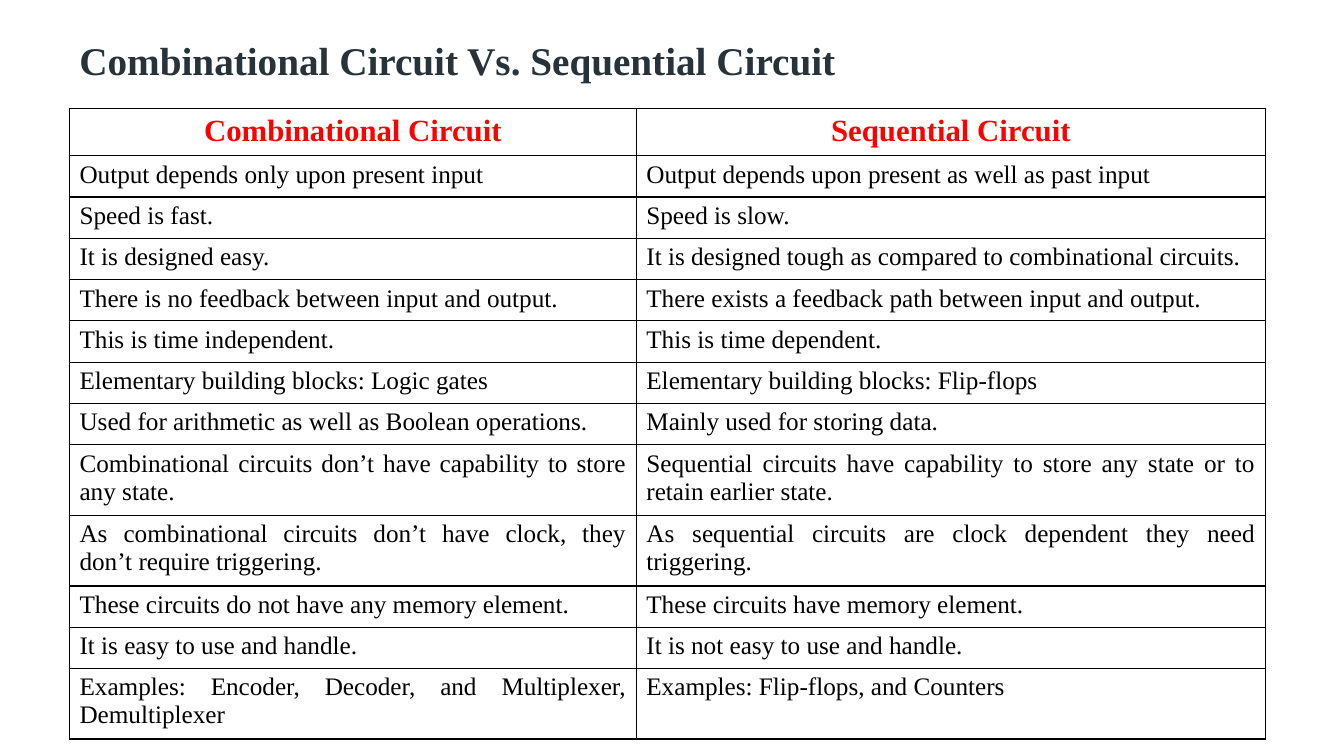
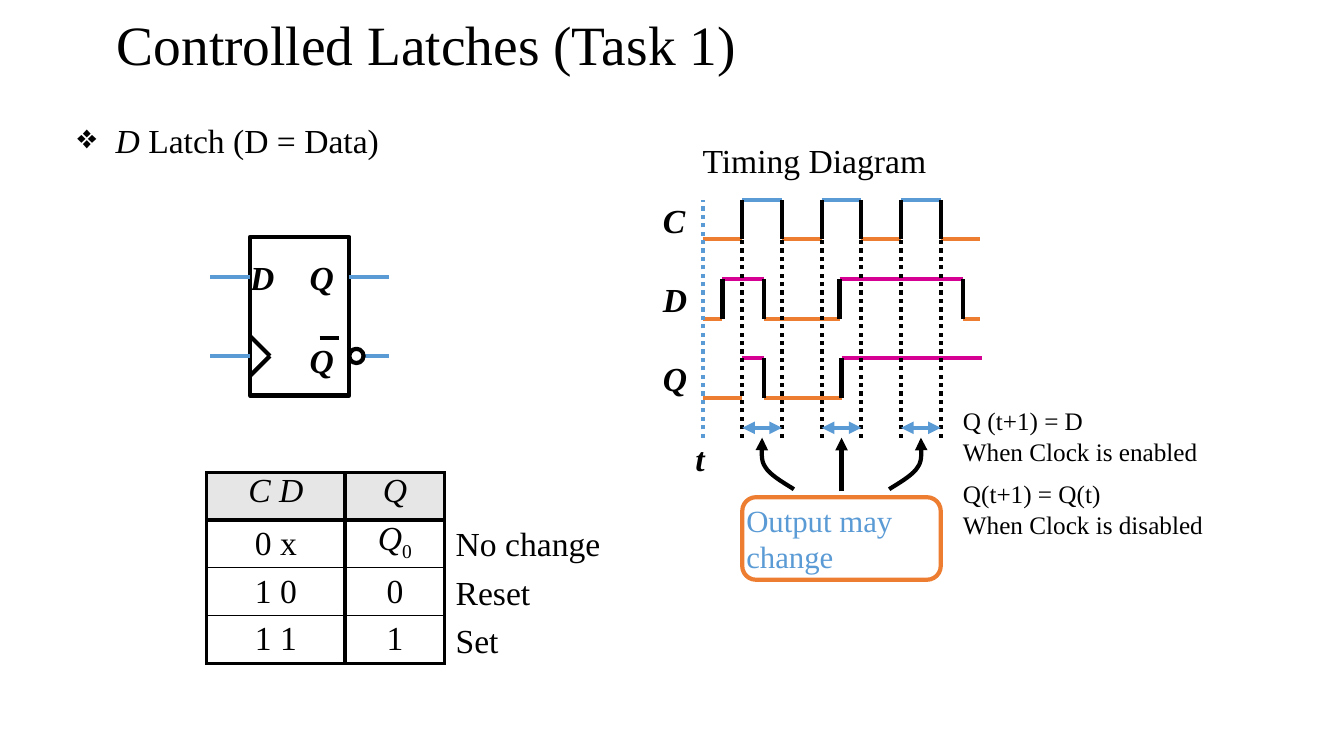
from dataclasses import dataclass

from lxml.etree import SubElement
from pptx import Presentation
from pptx.dml.color import RGBColor
from pptx.enum.dml import MSO_LINE
from pptx.enum.shapes import MSO_CONNECTOR, MSO_SHAPE
from pptx.enum.text import MSO_ANCHOR as Anchor, PP_ALIGN as Align
from pptx.oxml.ns import qn
from pptx.util import Cm, Inches, Pt

BLACK = RGBColor(0x00, 0x00, 0x00)
WHITE = RGBColor(0xFF, 0xFF, 0xFF)
SLATE = RGBColor(0x27, 0x32, 0x39)
RED = RGBColor(0xFF, 0x00, 0x00)
GRAY = RGBColor(0xE7, 0xE6, 0xE6)
BLUE = RGBColor(0x5B, 0x9B, 0xD5)
ORANGE = RGBColor(0xED, 0x7D, 0x31)
MAGENTA = RGBColor(0xD6, 0x00, 0x93)
FONT = "Times New Roman"
CELL = Cm(1)  # side of one grid square


@dataclass
class Grid:
    """Square grid whose origin is given in squares from the slide corner."""
    left: float = 0
    top: float = 0

    def point(self, col, row):
        return int((self.left + col) * CELL), int((self.top + row) * CELL)

    def box(self, col, row, width, height):
        return (*self.point(col, row), int(width * CELL), int(height * CELL))


PAGE = Grid()


# Shared text and line helpers
def style(paragraph, size, color=BLACK, bold=False, italic=None, align=None):
    font = paragraph.font
    font.name, font.size, font.bold, font.italic = FONT, Pt(size), bold, italic
    font.color.rgb = color
    paragraph.alignment = align


def set_margins(holder, margin):
    holder.margin_left = holder.margin_right = margin
    holder.margin_top = holder.margin_bottom = margin


def add_text(shapes, box, lines, size, margin=0, wrap=True, anchor=Anchor.TOP,
             spacing=None, **look):
    frame = shapes.add_textbox(*box).text_frame
    frame.word_wrap = wrap
    frame.vertical_anchor = anchor
    if margin is not None:
        set_margins(frame, margin)
    frame.text = "\n".join(lines)
    for paragraph in frame.paragraphs:
        paragraph.line_spacing = spacing
        style(paragraph, size, **look)
    return frame


def add_title(slide, box, title, size, **look):
    add_text(slide.shapes, box, [title], size, margin=None,
             anchor=Anchor.MIDDLE, **look)


def add_arrowheads(shape, ends):
    outline = shape.element.spPr.find(qn("a:ln"))
    for end in ends:
        SubElement(outline, qn(f"a:{end}End"), type="triangle")


def draw_line(shapes, start, end, color=BLACK, dotted=False, heads=()):
    line = shapes.add_connector(MSO_CONNECTOR.STRAIGHT, *start, *end)
    line.line.color.rgb = color
    line.line.width = Pt(3)
    if dotted:
        line.line.dash_style = MSO_LINE.ROUND_DOT
    add_arrowheads(line, heads)
    SubElement(line.element.spPr, qn("a:effectLst"))


def draw_shape(shapes, kind, box, line=BLACK, fill=None):
    shape = shapes.add_shape(kind, *box)
    shape.shadow.inherit = False
    shape.line.color.rgb = line
    shape.line.width = Pt(3)
    if fill is None:
        shape.fill.background()
    else:
        shape.fill.solid()
        shape.fill.fore_color.rgb = fill
    return shape


# Shared table helpers
def add_grid_table(slide, corner, widths, heights):
    box = PAGE.box(*corner, sum(widths), sum(heights))
    table = slide.shapes.add_table(len(heights), len(widths), *box).table
    table.first_row = table.horz_banding = False
    for column, width in zip(table.columns, widths):
        column.width = int(width * CELL)
    for row, height in zip(table.rows, heights):
        row.height = int(height * CELL)
    return table


def set_borders(cell, left=1, right=1, top=1, bottom=1):
    properties = cell._tc.get_or_add_tcPr()
    sides = zip("LRTB", (left, right, top, bottom))
    for index, (side, width) in enumerate(sides):
        border = SubElement(properties, qn(f"a:ln{side}"), w=str(Pt(width)))
        fill = SubElement(border, qn("a:solidFill"))
        SubElement(fill, qn("a:srgbClr"), val=str(BLACK))
        properties.insert(index, border)


# Slide 1: comparison
COMPARISON = [
    ("Combinational Circuit", "Sequential Circuit"),
    ("Output depends only upon present input",
     "Output depends upon present as well as past input"),
    ("Speed is fast.", "Speed is slow."),
    ("It is designed easy.",
     "It is designed tough as compared to combinational circuits."),
    ("There is no feedback between input and output.",
     "There exists a feedback path between input and output."),
    ("This is time independent.", "This is time dependent."),
    ("Elementary building blocks: Logic gates",
     "Elementary building blocks: Flip-flops"),
    ("Used for arithmetic as well as Boolean operations.",
     "Mainly used for storing data."),
    ("Combinational circuits don’t have capability to store any state.",
     "Sequential circuits have capability to store any state or to retain "
     "earlier state."),
    ("As combinational circuits don’t have clock, they don’t require "
     "triggering.",
     "As sequential circuits are clock dependent they need triggering."),
    ("These circuits do not have any memory element.",
     "These circuits have memory element."),
    ("It is easy to use and handle.", "It is not easy to use and handle."),
    ("Examples: Encoder, Decoder, and Multiplexer, Demultiplexer",
     "Examples: Flip-flops, and Counters"),
]
TWO_LINE_ROWS = (8, 9, 12)


def add_comparison(slide, corner):
    heights = [1.75 if row in TWO_LINE_ROWS else 1.04
               for row in range(len(COMPARISON))]
    heights[0] = 1.17
    table = add_grid_table(slide, corner, [14.28, 15.85], heights)
    for row, facts in enumerate(COMPARISON):
        for col, fact in enumerate(facts):
            cell = table.cell(row, col)
            cell.text = fact
            cell.fill.background()
            set_borders(cell)
            paragraph = cell.text_frame.paragraphs[0]
            if row == 0:
                style(paragraph, 22, RED, bold=True, align=Align.CENTER)
            else:
                style(paragraph, 18, align=Align.JUSTIFY)


def comparison_slide(slide):
    add_title(slide, PAGE.box(1.75, 0.79, 30.1, 1.45),
              "Combinational Circuit Vs. Sequential Circuit", 28,
              color=SLATE, bold=True)
    add_comparison(slide, (1.75, 2.74))


# Slide 2: D latch
TRUTH = [("C D", "Q"), ("0 x", "Q0"), ("1 0", "0"), ("1 1", "1")]


def add_subject(slide, box):
    frame = add_text(slide.shapes, box, [""], 24, margin=None, spacing=0.9)
    paragraph = frame.paragraphs[0]
    properties = paragraph._p.get_or_add_pPr()
    properties.set("marL", str(Inches(0.38)))
    properties.set("indent", str(-Inches(0.38)))
    bullet = SubElement(properties, qn("a:buChar"), char="❖")
    properties.find(qn("a:defRPr")).addprevious(bullet)
    for words, italic in (("D", True), (" Latch (D = Data)", False)):
        run = paragraph.add_run()
        run.text = words
        run.font.italic = italic


def add_truth_table(slide, corner):
    table = add_grid_table(slide, corner, [3.5, 2.5], [1.2] * len(TRUTH))
    last = len(TRUTH) - 1
    for row, states in enumerate(TRUTH):
        for col, state in enumerate(states):
            cell = table.cell(row, col)
            set_margins(cell, 0)
            stored = state == "Q0"
            paragraph = cell.text_frame.paragraphs[0]
            for part in state if stored else [state]:
                paragraph.add_run().text = part
            style(paragraph, 24, italic=row == 0, align=Align.CENTER)
            if stored:
                letter, index = paragraph.runs
                letter.font.italic = True
                index._r.get_or_add_rPr().set("baseline", "-25000")
            elif row:
                cell.vertical_anchor = Anchor.MIDDLE
            if row == 0:
                cell.fill.solid()
                cell.fill.fore_color.rgb = GRAY
            else:
                cell.fill.background()
            set_borders(cell, left=3 if col else 2.25, right=2.25 if col else 3,
                        top={0: 2.25, 1: 3}.get(row, 1),
                        bottom={0: 3, last: 2.25}.get(row, 1))


def add_label(shapes, grid, col, row, label):
    add_text(shapes, grid.box(col, row, 1, 1), [label], 24, wrap=False,
             bold=True, italic=True)


def add_latch_symbol(slide, grid):
    shapes = slide.shapes.add_group_shape().shapes
    draw_shape(shapes, MSO_SHAPE.RECTANGLE, grid.box(1, 0, 2.5, 4), fill=WHITE)
    for row in (1, 3):
        for col in (0, 3.5):
            draw_line(shapes, grid.point(col, row), grid.point(col + 1, row), BLUE)
    # Clock input
    for row in (2.5, 3.5):
        draw_line(shapes, grid.point(1, row), grid.point(1.5, 3))
    for col, row, label in ((1, 0.5, "D"), (2.5, 0.5, "Q"), (2.5, 2.6, "Q")):
        add_label(shapes, grid, col, row, label)
    # Inverted output
    draw_shape(shapes, MSO_SHAPE.OVAL, grid.box(3.5, 2.82, 0.36, 0.36), fill=WHITE)
    draw_line(shapes, grid.point(2.75, 2.55), grid.point(3.25, 2.55))


# Signal: top row, colour when high, (start, is high) steps, edges, end
SIGNALS = {
    "C": (0, BLUE, [(col, col % 2) for col in range(7)], range(1, 7), 7),
    "D": (2, MAGENTA, [(0, 0), (0.5, 1), (1.55, 0), (3.45, 1), (6.55, 0)],
          (0.5, 1.55, 3.45, 6.55), 7),
    "Q": (4, MAGENTA, [(0, 0), (1, 1), (1.55, 0), (3.5, 1)], (1.55, 3.5), 7.05),
}
# Curved pointer measured from its tip, as two Bezier arcs
POINTER = [[(0.8, 1.3), (0.69, 1.22), (0.2, 0.96), (0.08, 0.74)],
           [(0.08, 0.74), (-0.08, 0.53), (0.03, 0.15), (0, 0)]]


def add_signal(shapes, grid, name):
    row, high_color, steps, edges, end = SIGNALS[name]
    add_label(shapes, grid, -1, row, name)
    stops = [start for start, _ in steps[1:]] + [end]
    for (start, high), stop in zip(steps, stops):
        level = row if high else row + 1
        draw_line(shapes, grid.point(start, level), grid.point(stop, level),
                  high_color if high else ORANGE)
    for col in edges:
        draw_line(shapes, grid.point(col, row + 1), grid.point(col, row))


def bezier(arc, t):
    weights = ((1 - t) ** 3, 3 * t * (1 - t) ** 2, 3 * t * t * (1 - t), t ** 3)
    return [sum(w * knot[axis] for w, knot in zip(weights, arc)) for axis in (0, 1)]


def add_pointer(shapes, grid, col, row, side):
    spots = []
    for arc in POINTER:
        for step in range(11):
            across, down = bezier(arc, step / 10)
            spots.append(grid.point(col + side * across, row + down))
    builder = shapes.build_freeform(*spots[0])
    builder.add_line_segments(spots[1:], close=False)
    pointer = builder.convert_to_shape()
    pointer.shadow.inherit = False
    pointer.fill.background()
    pointer.line.color.rgb = BLACK
    pointer.line.width = Pt(3)
    add_arrowheads(pointer, ["tail"])


def add_timing_diagram(slide, grid):
    shapes = slide.shapes
    add_text(shapes, grid.box(0, -1.5, 6.5, 1), ["Timing Diagram"], 24)
    for name in SIGNALS:
        add_signal(shapes, grid, name)
    # Time axis and clock guides
    draw_line(shapes, grid.point(0, 6), grid.point(0, 0), BLUE, dotted=True)
    add_label(shapes, grid, -0.18, 6, "t")
    for col in range(1, 7):
        draw_line(shapes, grid.point(col, 6), grid.point(col, 1), dotted=True)
    for col in (1, 3, 5):
        draw_line(shapes, grid.point(col, 5.75), grid.point(col + 1, 5.75),
                  BLUE, heads=("head", "tail"))
    # Callout and its pointers
    callout = draw_shape(shapes, MSO_SHAPE.ROUNDED_RECTANGLE,
                         grid.box(1, 7.5, 5, 2.08), ORANGE)
    frame = callout.text_frame
    frame.word_wrap = True
    frame.vertical_anchor = Anchor.TOP
    set_margins(frame, 0)
    frame.text = "Output may change"
    style(frame.paragraphs[0], 22, BLUE, align=Align.LEFT)
    add_pointer(shapes, grid, 1.5, 6, 1)
    add_pointer(shapes, grid, 5.5, 6, -1)
    draw_line(shapes, grid.point(3.5, 7.35), grid.point(3.5, 6), heads=["tail"])


def latch_slide(slide):
    add_title(slide, PAGE.box(2.69, 0.53, 22, 1.32),
              "Controlled Latches (Task 1)", 39.6, spacing=0.9)
    add_subject(slide, PAGE.box(1.7, 3.02, 23, 1.32))
    add_truth_table(slide, (5.2, 11.91))
    add_text(slide.shapes, PAGE.box(11.48, 12.98, 4.5, 3.68),
             ["No change", "Reset", "Set"], 24, spacing=1.2)
    add_timing_diagram(slide, Grid(17.7, 5.03))
    add_latch_symbol(slide, Grid(5.3, 5.97))
    rules = add_text(slide.shapes, PAGE.box(24.26, 10.19, 9.5, 3.43),
                     ["Q (t+1) = D", "When Clock is enabled",
                      "Q(t+1) = Q(t)", "When Clock is disabled"],
                     18, anchor=Anchor.MIDDLE)
    rules.paragraphs[2].space_before = Pt(9)


def main():
    deck = Presentation()
    deck.slide_width, deck.slide_height = Inches(13.33), Inches(7.5)
    for build in (comparison_slide, latch_slide):
        build(deck.slides.add_slide(deck.slide_layouts[6]))
    deck.save("out.pptx")


if __name__ == "__main__":
    main()
